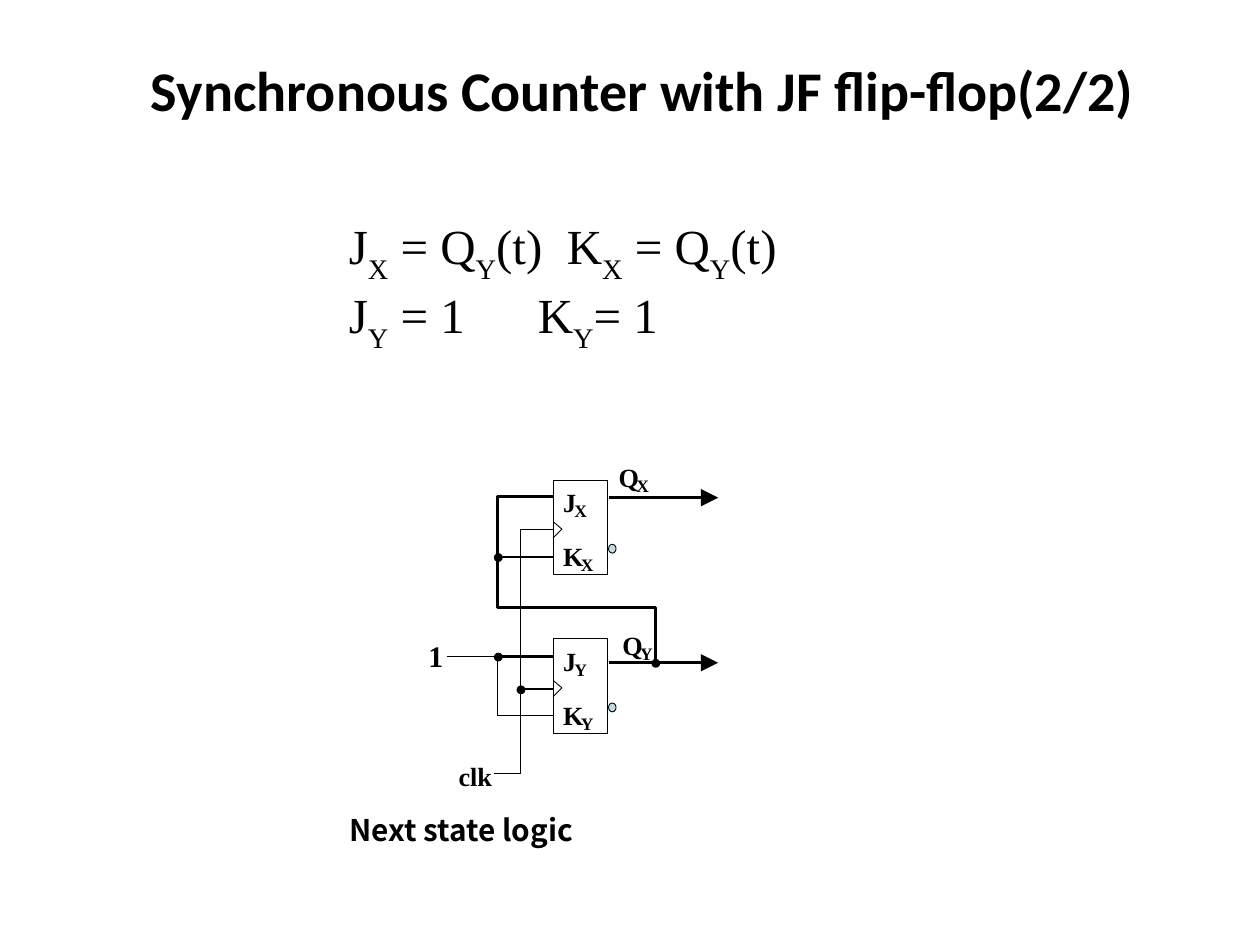
from pptx import Presentation
from pptx.dml.color import RGBColor
from pptx.enum.shapes import MSO_CONNECTOR, MSO_SHAPE
from pptx.enum.text import MSO_ANCHOR
from pptx.oxml.ns import qn
from pptx.util import Inches, Pt
from lxml import etree

STRAIGHT = MSO_CONNECTOR.STRAIGHT
RECT, OVAL = MSO_SHAPE.RECTANGLE, MSO_SHAPE.OVAL
MIDDLE = MSO_ANCHOR.MIDDLE
SERIF = "Times New Roman"
THIN, THICK = 0.5, 1.5
HEX = {"ink": "000000", "bubble": "BBE0E3"}
COLOR = {name: RGBColor.from_string(value) for name, value in HEX.items()}

prs = Presentation()
prs.slide_width, prs.slide_height = Inches(10), Inches(7.5)
slide = prs.slides.add_slide(prs.slide_layouts[6])
shapes = slide.shapes


def label(text, x, y, w, h, size, font=SERIF, pad=0):
    box = shapes.add_textbox(Inches(x), Inches(y), Inches(w), Inches(h))
    frame = box.text_frame
    frame.word_wrap = False
    frame.margin_left = frame.margin_right = Inches(pad)
    frame.margin_top = frame.margin_bottom = Inches(pad / 2)
    frame.text = text
    face = frame.paragraphs[0].runs[0].font
    face.name, face.size, face.bold = font, Pt(size), True
    face.color.rgb = COLOR["ink"]


def wire(points, width, arrow=False):
    spots = [(Inches(x), Inches(y)) for x, y in points]
    if len(spots) == 2:
        line = shapes.add_connector(STRAIGHT, *spots[0], *spots[1])
    else:
        form = shapes.build_freeform(*spots[0])
        form.add_line_segments(spots[1:], close=False)
        line = form.convert_to_shape()
        line.fill.background()
    line.line.color.rgb = COLOR["ink"]
    line.line.width = Pt(width)
    props = line._element.spPr
    if arrow:
        etree.SubElement(props.find(qn("a:ln")), qn("a:tailEnd"),
                         type="triangle", w="lg", len="lg")
    etree.SubElement(props, qn("a:effectLst"))


# Title
label("Synchronous Counter with JF flip-flop(2/2)",
      1.1, 0.39, 8.03, 0.64, 32, "Calibri", 0.1)

# Equations: "_" marks a subscript letter, the tab stop places the K terms
rows = [
    ("J _X  = Q _Y (t)\tK _X  = Q _Y (t)", 1.73),
    ("J _Y  = 1\tK _Y = 1", 1.5),
]
box = shapes.add_textbox(Inches(2.67), Inches(1.66), Inches(3.8), Inches(1.2))
frame = box.text_frame
frame.word_wrap = True
frame.vertical_anchor = MIDDLE
for i, (text, stop) in enumerate(rows):
    para = frame.add_paragraph() if i else frame.paragraphs[0]
    tabs = etree.SubElement(para._p.get_or_add_pPr(), qn("a:tabLst"))
    etree.SubElement(tabs, qn("a:tab"), pos=str(Inches(stop)), algn="l")
    for j, part in enumerate(text.split(" _")):
        # After each mark comes one subscript letter and a separating space
        pieces = [(part[0], True), (part[2:], False)] if j else [(part, False)]
        for piece, sub in pieces:
            run = para.add_run()
            run.text = piece
            run.font.name, run.font.size = SERIF, Pt(28)
            run.font.color.rgb = COLOR["ink"]
            if sub:
                run.font._element.set("baseline", "-30000")

# Flip-flops: name, top, output height, place of the Q label
flops = [("X", 3.81, 3.95, 4.91, 3.66), ("Y", 5.07, 5.26, 4.94, 4.99)]
left, right = 4.39, 4.83
for name, top, out, qx, qy in flops:
    for kind, x, y, w, h, fill in [
        (RECT, left, top, 0.43, 0.75, None),
        (OVAL, right, top + 0.51, 0.06, 0.07, "bubble"),
    ]:
        part = shapes.add_shape(kind, Inches(x), Inches(y), Inches(w), Inches(h))
        part.shadow.inherit = False
        part.line.color.rgb = COLOR["ink"]
        part.line.width = Pt(THIN)
        if fill:
            part.fill.solid()
            part.fill.fore_color.rgb = COLOR[fill]
        else:
            part.fill.background()
    # Clock input and output arrow
    wire([(left, top + 0.33), (left + 0.07, top + 0.39), (left, top + 0.46)], THIN)
    wire([(right, out), (5.7, out)], THICK, arrow=True)
    # Pin names
    for pin, x, y, w in [("J", 4.47, top + 0.05, 0.09),
                         ("K", 4.47, top + 0.48, 0.14),
                         ("Q", qx, qy, 0.14)]:
        label(pin, x, y, w, 0.25, 15)
        label(name, x + w, y + 0.11, 0.1, 0.17, 10)

# Wires
wire([(3.92, 6.14), (4.13, 6.14), (4.13, 4.2), (left, 4.2)], THIN)
wire([(left, 5.68), (3.95, 5.68), (3.95, 5.21), (3.55, 5.21)], THIN)
wire([(5.2, 5.26), (5.2, 4.82), (3.95, 4.82), (3.95, 3.94), (left, 3.94)], THICK)
for x, y in [(4.13, 5.47), (3.95, 4.42), (3.95, 5.21)]:
    wire([(x, y), (left, y)], THICK)

# Junction dots
for x, y in [(4.13, 5.47), (3.95, 4.42), (3.95, 5.21), (5.2, 5.26)]:
    dot = shapes.add_shape(OVAL, Inches(x - 0.03), Inches(y - 0.03),
                           Inches(0.07), Inches(0.07))
    dot.shadow.inherit = False
    dot.fill.solid()
    dot.fill.fore_color.rgb = COLOR["ink"]
    dot.line.fill.background()

# Input labels and caption
label("1", 3.4, 5.06, 0.12, 0.28, 17)
label("clk", 3.64, 6.03, 0.27, 0.25, 15)
label("Next state logic", 2.77, 6.44, 2.28, 0.28, 17, "Noto Sans CJK SC")

prs.save("out.pptx")
